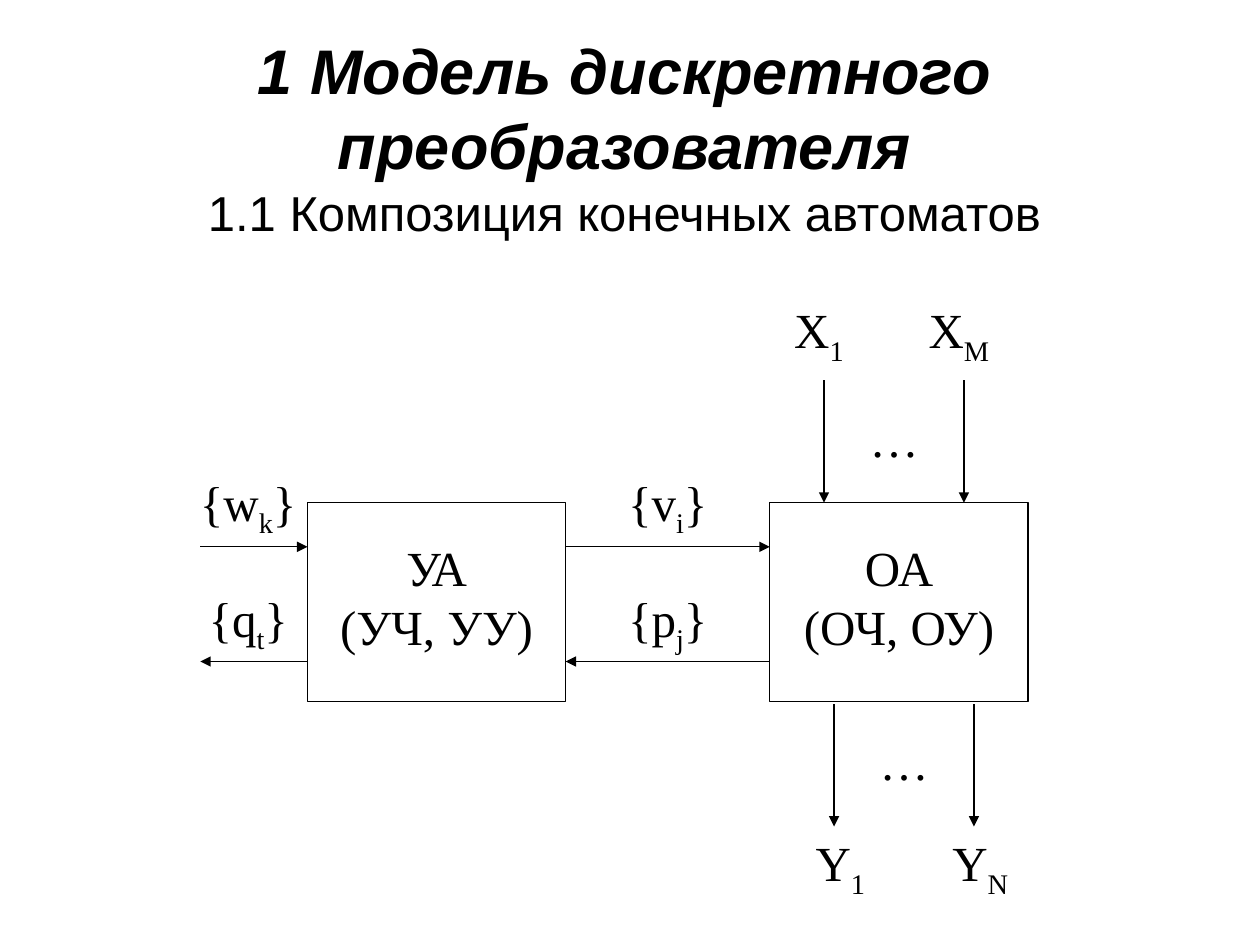
from dataclasses import dataclass

from lxml import etree
from pptx import Presentation
from pptx import util as u
from pptx.dml.color import RGBColor
from pptx.enum import shapes, text
from pptx.oxml import ns

COLS, ROWS = 100, 75


@dataclass(frozen=True)
class Theme:
    """Colours, fonts and sizes of the slide."""
    ink: RGBColor = RGBColor(0, 0, 0)
    paper: RGBColor = RGBColor(255, 255, 255)
    heading_font: str = "Arial"
    label_font: str = "Times New Roman"
    heading_size: float = 36
    label_size: float = 28
    line_width: float = 0.74


THEME = Theme()
WIDTH, HEIGHT = u.Inches(10), u.Inches(7.5)


def col(n):
    """Turn grid columns into a horizontal length."""
    return u.Emu(round(WIDTH * n / COLS))


def row(n):
    """Turn grid rows into a vertical length."""
    return u.Emu(round(HEIGHT * n / ROWS))


def area(x, y, w, h):
    """Turn a grid area into left, top, width and height."""
    return col(x), row(y), col(w), row(h)


def add_run(p, words, font=THEME.label_font, size=THEME.label_size,
            strong=False, subscript=False):
    """Add one formatted run to a paragraph."""
    r = p.add_run()
    r.text = words
    r.font.name, r.font.size = font, u.Pt(size)
    r.font.bold = r.font.italic = strong
    r.font.color.rgb = THEME.ink
    if subscript:
        r._r.get_or_add_rPr().set("baseline", "-25000")


def add_frame(s, x, y, w, h):
    """Add a wrapping text box and return its text frame."""
    tf = s.shapes.add_textbox(*area(x, y, w, h)).text_frame
    tf.word_wrap = True
    return tf


def add_title(s, heading, subheading):
    """Add the heading with the section name under it."""
    tf = add_frame(s, 0.8, 0.8, 97.5, 20)
    tf.vertical_anchor = text.MSO_ANCHOR.MIDDLE
    p = tf.paragraphs[0]
    p.alignment = text.PP_ALIGN.CENTER
    add_run(p, heading, THEME.heading_font, THEME.heading_size, strong=True)
    p.add_line_break()
    add_run(p, subheading, THEME.heading_font)


def add_label(s, centre, top, base, sub="", end=""):
    """Add a centred symbol with an optional subscript."""
    p = add_frame(s, centre - 6.4, top, 12.8, 6.9).paragraphs[0]
    p.alignment = text.PP_ALIGN.CENTER
    for words in (base, sub, end):
        if words:
            add_run(p, words, subscript=words is sub)


def add_block(s, x, y, w, h, lines):
    """Add an outlined automaton block and its caption."""
    sp = s.shapes.add_shape(shapes.MSO_SHAPE.RECTANGLE, *area(x, y, w, h))
    sp.shadow.inherit = False
    sp.fill.background()
    sp.line.color.rgb = THEME.ink
    sp.line.width = u.Pt(THEME.line_width)
    tf = add_frame(s, x - 0.8, y + 2.3, w + 1.6, 10.9)
    for i, words in enumerate(lines):
        p = tf.add_paragraph() if i else tf.paragraphs[0]
        p.alignment = text.PP_ALIGN.CENTER
        add_run(p, words)


def add_arrow(s, x1, y1, x2, y2):
    """Add a thin arrow between two grid points."""
    sp = s.shapes.add_connector(shapes.MSO_CONNECTOR.STRAIGHT,
                                col(x1), row(y1), col(x2), row(y2))
    sp.line.color.rgb = THEME.ink
    sp.line.width = u.Pt(THEME.line_width)
    etree.SubElement(sp.line._get_or_add_ln(), ns.qn("a:tailEnd"), type="triangle")
    etree.SubElement(sp._element.spPr, ns.qn("a:effectLst"))


def add_exchange(s, left, right, centre, forward, back):
    """Add a forward and a back arrow, each with its signal set."""
    add_arrow(s, left, 43.4, right, 43.4)
    add_arrow(s, right, 52.5, left, 52.5)
    for top, (name, index) in ((37, forward), (46.2, back)):
        add_label(s, centre, top, "{" + name, index, "}")


def add_bus(s, x, top, label_x, label_top, name, indexes):
    """Add a pair of vertical arrows with dots between and labels."""
    step = 11.1
    for i, index in enumerate(indexes):
        add_arrow(s, x + i * step, top, x + i * step, top + 9.7)
        add_label(s, label_x + i * step, label_top, name, index)
    add_label(s, x + step / 2, top + 1.7, "…")


def main():
    """Build the slide and save it."""
    prs = Presentation()
    prs.slide_width, prs.slide_height = WIDTH, HEIGHT
    s = prs.slides.add_slide(prs.slide_layouts[6])
    s.background.fill.solid()
    s.background.fill.fore_color.rgb = THEME.paper

    add_title(s, "1 Модель дискретного преобразователя",
              "1.1 Композиция конечных автоматов")
    control, operation, top, w, h = 24.4, 61.1, 39.9, 20.5, 15.8
    add_block(s, control, top, w, h, ("УА", "(УЧ, УУ)"))
    add_block(s, operation, top, w, h, ("ОА", "(ОЧ, ОУ)"))
    add_exchange(s, 15.9, control, 19.7, ("w", "k"), ("q", "t"))
    add_exchange(s, control + w, operation, 53, ("v", "i"), ("p", "j"))
    add_bus(s, 65.4, 30.2, 65, 23.3, "X", ("1", "M"))
    add_bus(s, 66.2, 55.9, 66.7, 65.6, "Y", ("1", "N"))
    prs.save("out.pptx")


main()
